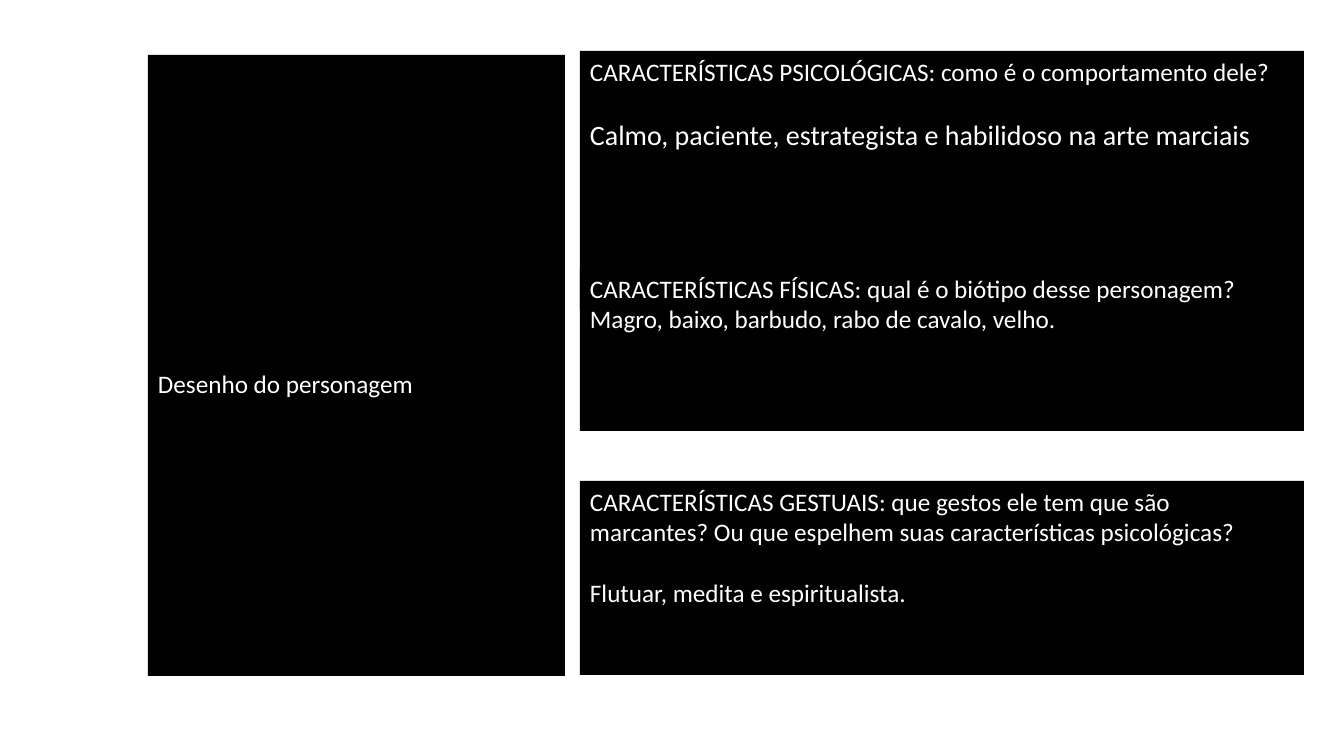
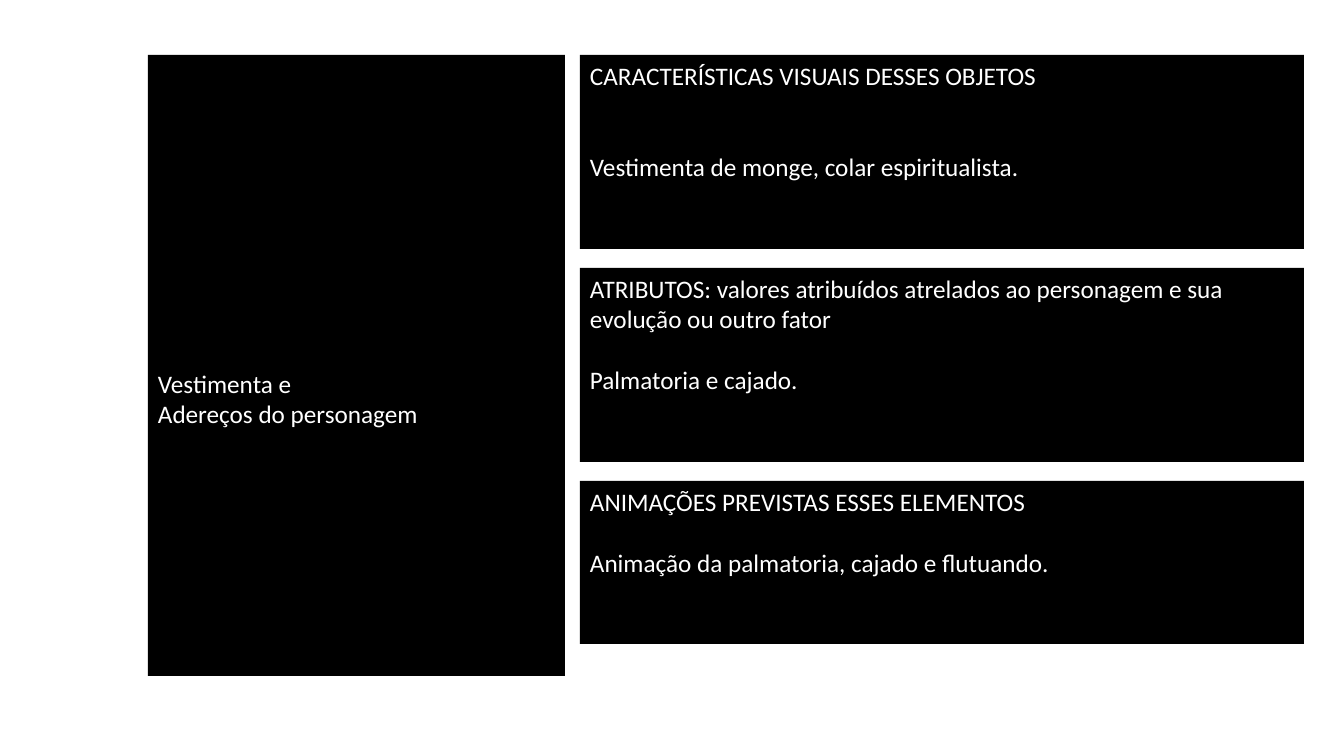
from dataclasses import dataclass

from pptx import Presentation
from pptx.dml.color import RGBColor
from pptx.enum.shapes import MSO_SHAPE
from pptx.enum.text import MSO_ANCHOR, MSO_AUTO_SIZE, PP_ALIGN
from pptx.util import Emu, Pt

RECTANGLE = MSO_SHAPE.RECTANGLE
TOP = MSO_ANCHOR.TOP
FIXED_SIZE = MSO_AUTO_SIZE.NONE
LEFT = PP_ALIGN.LEFT
BLANK_LAYOUT = 6
EMU_PER_PIXEL = 914400 / 100.8


@dataclass(frozen=True)
class Theme:
    font: str = "Calibri"
    panel: RGBColor = RGBColor(0, 0, 0)
    text: RGBColor = RGBColor(255, 255, 255)
    body: int = 18
    emphasis: int = 20
    line: int = 22
    inset_x: int = 10
    inset_y: int = 5


@dataclass(frozen=True)
class Box:
    left: int
    top: int
    width: int
    height: int


@dataclass(frozen=True)
class Line:
    text: str
    skipped_lines: int = 0
    size: int = Theme.body


THEME = Theme()
SUBJECT_BOX = Box(148, 55, 417, 621)
SUBJECT_INSET = 313
DETAIL_LEFT = 580
DETAIL_WIDTH = 724
SHORT, MEDIUM, TALL = 163, 194, 258


def pixels(length):
    return Emu(round(length * EMU_PER_PIXEL))


def add_panel(page, box, lines, top_inset=THEME.inset_y):
    panel = page.shapes.add_shape(
        RECTANGLE, *map(pixels, (box.left, box.top, box.width, box.height)))
    panel.shadow.inherit = False
    panel.fill.solid()
    panel.fill.fore_color.rgb = THEME.panel
    panel.line.fill.background()
    frame = panel.text_frame
    frame.word_wrap = True
    frame.auto_size = FIXED_SIZE
    frame.vertical_anchor = TOP
    frame.margin_left = frame.margin_right = pixels(THEME.inset_x)
    frame.margin_top = pixels(top_inset)
    frame.margin_bottom = pixels(THEME.inset_y)
    for index, line in enumerate(lines):
        para = frame.add_paragraph() if index else frame.paragraphs[0]
        para.alignment = LEFT
        para.space_before = Pt(line.skipped_lines * THEME.line)
        span = para.add_run()
        span.text = line.text
        span.font.name = THEME.font
        span.font.size = Pt(line.size)
        span.font.color.rgb = THEME.text


def add_character_page(deck, subject, details):
    page = deck.slides.add_slide(deck.slide_layouts[BLANK_LAYOUT])
    add_panel(page, SUBJECT_BOX, subject, SUBJECT_INSET)
    for top, height, lines in details:
        add_panel(page, Box(DETAIL_LEFT, top, DETAIL_WIDTH, height), lines)


CHARACTER = [
    (51, TALL, [
        Line("CARACTERÍSTICAS PSICOLÓGICAS: como é o comportamento dele?"),
        Line("Calmo, paciente, estrategista e habilidoso na arte marciais",
             1, THEME.emphasis)]),
    (268, SHORT, [
        Line("CARACTERÍSTICAS FÍSICAS: qual é o biótipo desse personagem?"),
        Line("Magro, baixo, barbudo, rabo de cavalo, velho.")]),
    (481, MEDIUM, [
        Line("CARACTERÍSTICAS GESTUAIS: que gestos ele tem que são marcantes? "
             "Ou que espelhem suas características psicológicas?"),
        Line("Flutuar, medita e espiritualista.", 1)]),
]

COSTUME = [
    (55, MEDIUM, [
        Line("CARACTERÍSTICAS VISUAIS DESSES OBJETOS"),
        Line("Vestimenta de monge, colar espiritualista.", 2)]),
    (268, MEDIUM, [
        Line("ATRIBUTOS: valores atribuídos atrelados ao personagem e sua "
             "evolução ou outro fator"),
        Line("Palmatoria e cajado.", 1)]),
    (481, SHORT, [
        Line("ANIMAÇÕES PREVISTAS ESSES ELEMENTOS"),
        Line("Animação da palmatoria, cajado e flutuando.", 1)]),
]

deck = Presentation()
deck.slide_width = pixels(1344)
deck.slide_height = pixels(756)
add_character_page(deck, [Line("Desenho do personagem")], CHARACTER)
add_character_page(
    deck, [Line("Vestimenta e"), Line("Adereços do personagem")], COSTUME)
deck.save("out.pptx")
